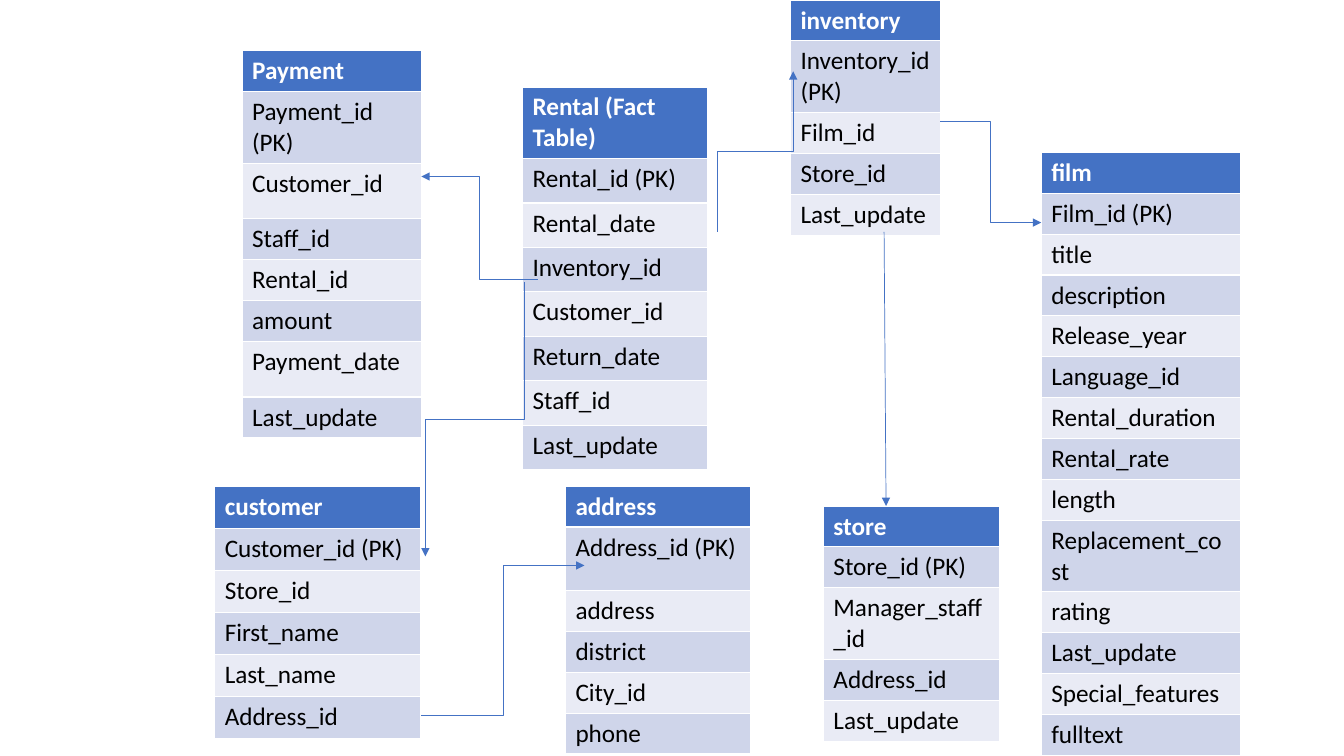
"""Draw the film rental schema: seven entity tables and the links between them."""
from dataclasses import dataclass, field

from lxml.etree import SubElement
from pptx import Presentation
from pptx.dml.color import RGBColor
from pptx.enum.shapes import MSO_CONNECTOR
from pptx.oxml.ns import qn
from pptx.slide import Slide
from pptx.table import _Cell
from pptx.util import Cm, Pt


@dataclass(frozen=True)
class Theme:
    font: str = "Calibri"
    size: Pt = Pt(18)
    stroke: Pt = Pt(0.5)
    head: RGBColor = RGBColor(0x44, 0x72, 0xC4)
    bands: tuple[RGBColor, RGBColor] = (
        RGBColor(0xE9, 0xEB, 0xF5),
        RGBColor(0xCF, 0xD5, 0xEA),
    )
    light: RGBColor = RGBColor(0xFF, 0xFF, 0xFF)
    dark: RGBColor = RGBColor(0, 0, 0)


@dataclass(frozen=True)
class Entity:
    name: str
    left: float
    top: float
    width: float
    row: float
    fields: list[str]
    tall: dict[int, float] = field(default_factory=dict)


@dataclass(frozen=True)
class Link:
    start: tuple[float, float]
    end: tuple[float, float]
    kind: MSO_CONNECTOR = MSO_CONNECTOR.ELBOW
    upright: bool = False


THEME = Theme()

ENTITIES = [
    Entity("Payment", 6.1, 1.28, 4.52, 0.81,
           ["Payment_id (PK)", "Customer_id", "Staff_id", "Rental_id",
            "amount", "Payment_date", "Last_update"],
           {1: 1.4, 2: 1.4, 6: 1.4}),
    Entity("Rental (Fact Table)", 13.17, 2.19, 4.67, 1.12,
           ["Rental_id (PK)", "Rental_date", "Inventory_id", "Customer_id",
            "Return_date", "Staff_id", "Last_update"]),
    Entity("store", 20.75, 12.75, 4.45, 0.94,
           ["Store_id (PK)", "Manager_staff_id", "Address_id", "Last_update"],
           {2: 1.63}),
    Entity("inventory", 19.92, 0, 3.78, 0.81,
           ["Inventory_id (PK)", "Film_id", "Store_id", "Last_update"],
           {1: 1.45}),
    Entity("film", 26.24, 3.84, 5.03, 0.91,
           ["Film_id (PK)", "title", "description", "Release_year",
            "Language_id", "Rental_duration", "Rental_rate", "length",
            "Replacement_cost", "rating", "Last_update", "Special_features",
            "fulltext"],
           {9: 1.14}),
    Entity("customer", 5.41, 12.25, 5.2, 1.06,
           ["Customer_id (PK)", "Store_id", "First_name", "Last_name",
            "Address_id"]),
    Entity("address", 14.25, 12.25, 4.67, 0.94,
           ["Address_id (PK)", "address", "district", "City_id", "phone"],
           {1: 1.6}),
]

LINKS = [
    Link((23.7, 3.07), (26.24, 5.61)),
    Link((13.56, 7.04), (10.62, 4.45)),
    Link((18.08, 5.84), (19.99, 1.8), upright=True),
    Link((10.62, 18.03), (14.73, 14.25)),
    Link((22.28, 5.84), (22.33, 12.75), MSO_CONNECTOR.STRAIGHT),
    Link((13.21, 7.11), (10.72, 14.02), upright=True),
]


def fill_cell(cell: _Cell, text: str, index: int) -> None:
    top = index == 0
    cell.fill.solid()
    cell.fill.fore_color.rgb = THEME.head if top else THEME.bands[index % 2]
    cell.text_frame.text = text
    font = cell.text_frame.paragraphs[0].runs[0].font
    font.name, font.size, font.bold = THEME.font, THEME.size, top
    font.color.rgb = THEME.light if top else THEME.dark


def draw_table(slide: Slide, entity: Entity) -> None:
    labels = [entity.name, *entity.fields]
    frame = slide.shapes.add_table(
        len(labels), 1, Cm(entity.left), Cm(entity.top),
        Cm(entity.width), Cm(entity.row * len(labels)))
    for index, label in enumerate(labels):
        frame.table.rows[index].height = Cm(entity.tall.get(index, entity.row))
        fill_cell(frame.table.cell(index, 0), label, index)


def draw_link(slide: Slide, link: Link) -> None:
    (x1, y1), (x2, y2) = link.start, link.end
    if link.upright:
        mid_x, mid_y = (x1 + x2) / 2, (y1 + y2) / 2
        half_x, half_y = (y2 - y1) / 2, (x1 - x2) / 2
        x1, y1 = mid_x - half_x, mid_y - half_y
        x2, y2 = mid_x + half_x, mid_y + half_y
    line = slide.shapes.add_connector(link.kind, Cm(x1), Cm(y1), Cm(x2), Cm(y2))
    line.line.color.rgb = THEME.head
    line.line.width = THEME.stroke
    props = line._element.spPr
    if link.upright:
        props.find(qn("a:xfrm")).set("rot", "5400000")
    SubElement(props.find(qn("a:ln")), qn("a:tailEnd"), type="triangle")
    SubElement(props, qn("a:effectLst"))


def main() -> None:
    deck = Presentation()
    deck.slide_width, deck.slide_height = Cm(33.87), Cm(19.05)
    slide = deck.slides.add_slide(deck.slide_layouts.get_by_name("Blank"))
    for entity in ENTITIES:
        draw_table(slide, entity)
    for link in LINKS:
        draw_link(slide, link)
    deck.save("out.pptx")


if __name__ == "__main__":
    main()
